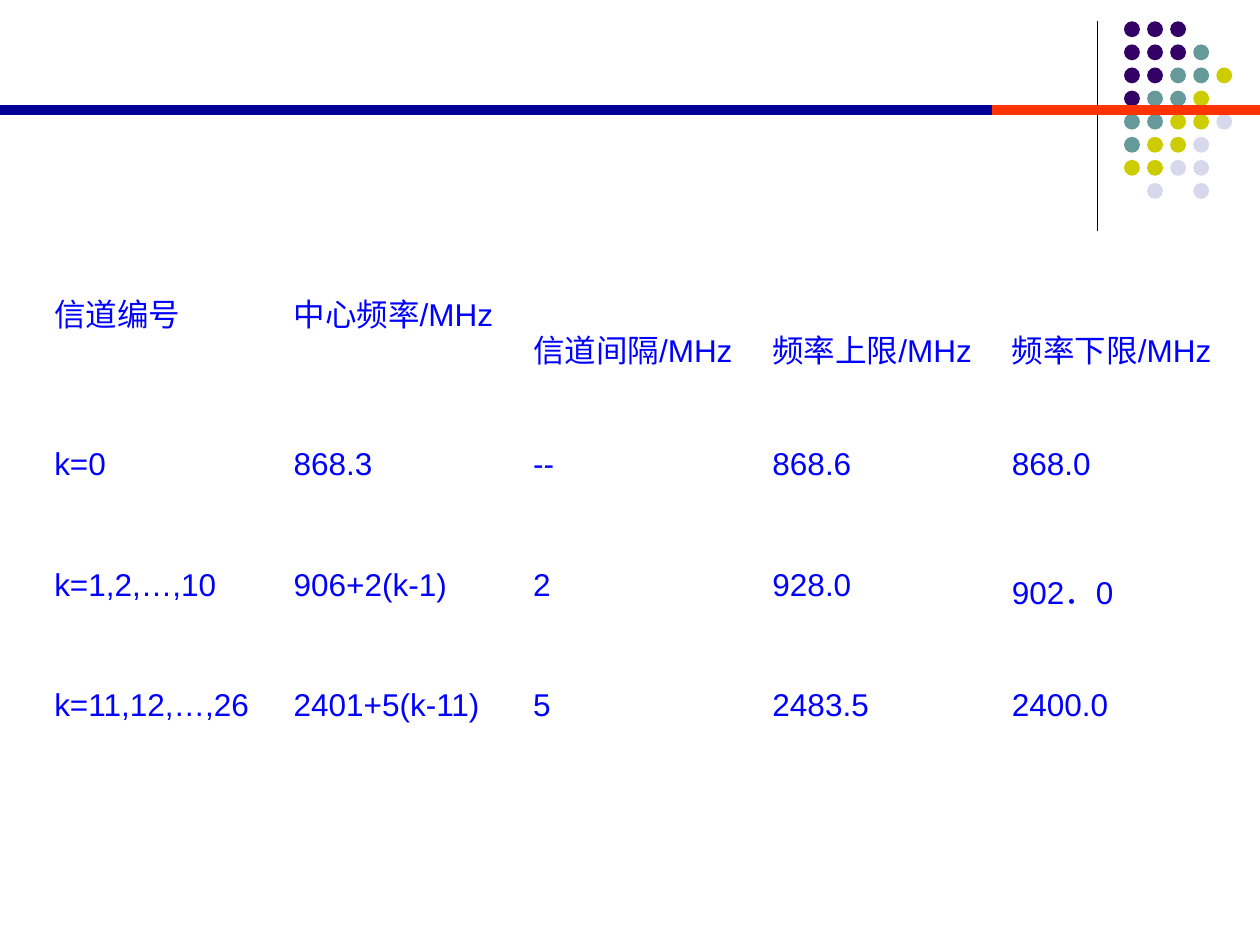
from lxml import etree
from pptx import Presentation
from pptx import util as u
from pptx.dml.color import RGBColor
from pptx.enum import shapes
from pptx.oxml import ns

BLACK = RGBColor(0x00, 0x00, 0x00)
NAVY = RGBColor(0x00, 0x00, 0x99)
ORANGE = RGBColor(0xFF, 0x33, 0x00)
TEXT_BLUE = RGBColor(0x00, 0x00, 0xFF)
DOT_COLOURS = {
    "P": RGBColor(0x33, 0x00, 0x66),
    "T": RGBColor(0x66, 0x99, 0x99),
    "Y": RGBColor(0xCC, 0xCC, 0x00),
    "L": RGBColor(0xD8, 0xD8, 0xEC),
}
DOT_ROWS = ["PPP", "PPPT", "PPTTY", "PTTY", "TTYYL", "TYYL", "YYLL", " L L"]

CHANNELS = [
    ["信道编号", "中心频率/MHz", "信道间隔/MHz", "频率上限/MHz", "频率下限/MHz"],
    ["k=0", "868.3", "--", "868.6", "868.0"],
    ["k=1,2,…,10", "906+2(k-1)", "2", "928.0", "902．0"],
    ["k=11,12,…,26", "2401+5(k-11)", "5", "2483.5", "2400.0"],
]
CELL_MARGIN = 0.13
LINE_DROP = 0.73  # one line of 18 pt text


def add_plain_shape(parent, kind, left, top, width, height, colour):
    shape = parent.add_shape(kind, u.Cm(left), u.Cm(top), u.Cm(width), u.Cm(height))
    shape.shadow.inherit = False
    shape.fill.solid()
    shape.fill.fore_color.rgb = colour
    shape.line.fill.background()


def add_divider(page, left, top, height):
    line = page.shapes.add_connector(
        shapes.MSO_CONNECTOR.STRAIGHT,
        u.Cm(left), u.Cm(top), u.Cm(left), u.Cm(top + height))
    line.line.color.rgb = BLACK
    line.line.width = u.Pt(0.75)
    etree.SubElement(line._element.spPr, ns.qn("a:effectLst"))


def add_dots(page, left, top, width, height, size=0.32):
    group = page.shapes.add_group_shape()
    column_step = (width - size) / (max(map(len, DOT_ROWS)) - 1)
    row_step = (height - size) / (len(DOT_ROWS) - 1)
    for row, codes in enumerate(DOT_ROWS):
        for column, code in enumerate(codes):
            if code in DOT_COLOURS:
                add_plain_shape(group.shapes, shapes.MSO_SHAPE.OVAL,
                                left + column * column_step, top + row * row_step,
                                size, size, DOT_COLOURS[code])


def add_band(page, left, top, width, height, accent_width=5.4):
    """Navy band whose right end is orange."""
    group = page.shapes.add_group_shape()
    for colour, part in ((NAVY, width), (ORANGE, accent_width)):
        add_plain_shape(group.shapes, shapes.MSO_SHAPE.RECTANGLE,
                        left + width - part, top, part, height, colour)


def add_channel_table(page, left, top, width, height):
    table = page.shapes.add_table(
        len(CHANNELS), len(CHANNELS[0]),
        u.Cm(left), u.Cm(top), u.Cm(width), u.Cm(height)).table
    table.first_row = False
    table.horz_banding = False
    for row, values in enumerate(CHANNELS):
        for column, value in enumerate(values):
            cell = table.cell(row, column)
            cell.fill.background()
            on_first_line = row == 0 and column < 2
            cell.margin_top = u.Cm(CELL_MARGIN + (0 if on_first_line else LINE_DROP))
            cell.text_frame.text = value
            font = cell.text_frame.paragraphs[0].runs[0].font
            font.name = "Arial"
            font.size = u.Pt(18)
            font.color.rgb = TEXT_BLUE


def main():
    deck = Presentation()
    deck.slide_width, deck.slide_height = u.Cm(25.4), u.Cm(19.05)
    page = deck.slides.add_slide(deck.slide_layouts[6])
    add_divider(page, 22.12, 0.43, 4.22)
    add_dots(page, 22.66, 0.43, 2.18, 3.58)
    add_band(page, 0, 2.12, 25.4, 0.2)
    add_channel_table(page, 0.84, 5.72, 24.13, 9.73)
    deck.save("out.pptx")


if __name__ == "__main__":
    main()
